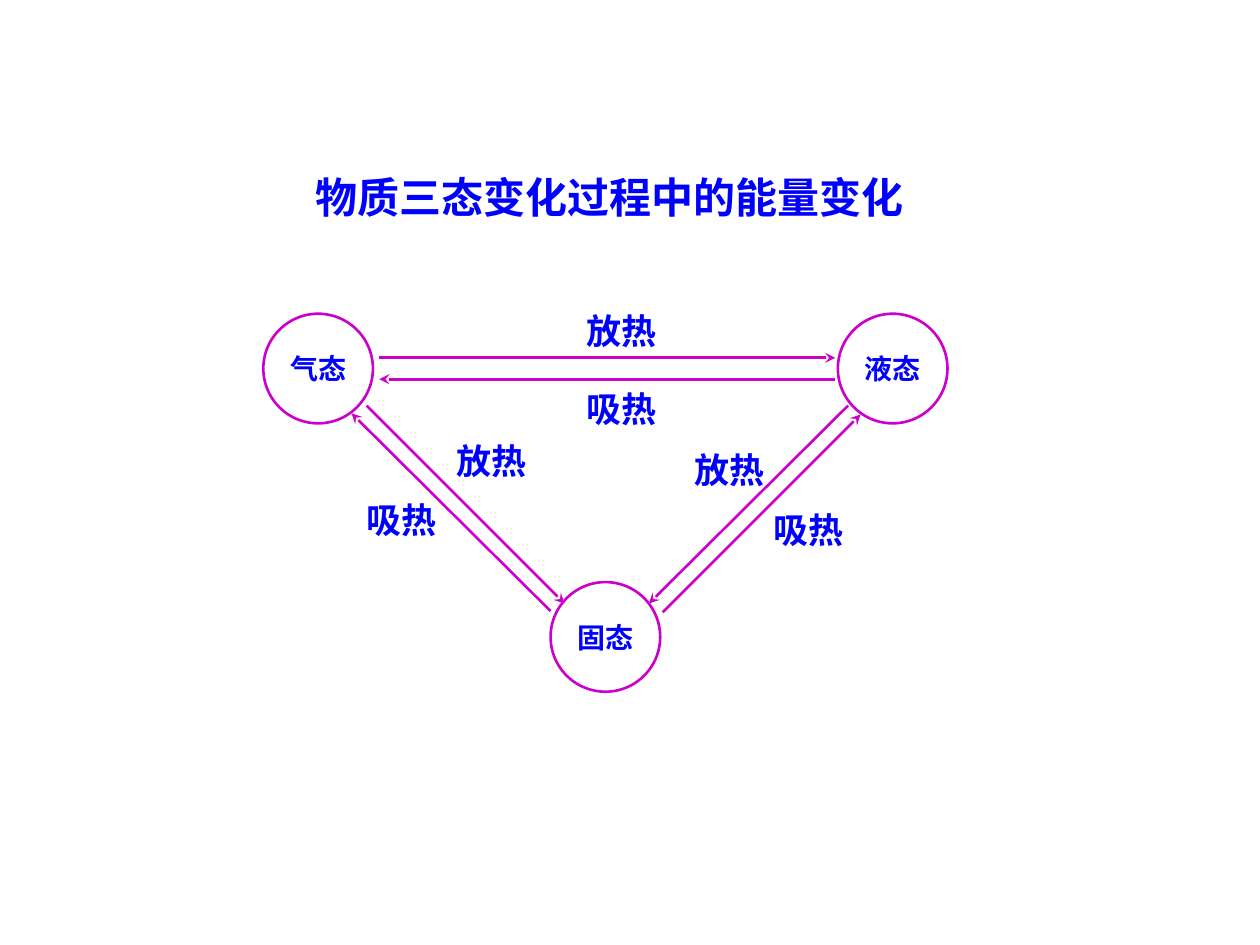
import pptx
import pptx.util
import pptx.dml.color
import pptx.enum.shapes
import pptx.enum.text
import pptx.oxml
import pptx.oxml.ns
from lxml import etree

Inches = pptx.util.Inches
BLUE = pptx.dml.color.RGBColor(0x00, 0x00, 0xFF)
MAGENTA = pptx.dml.color.RGBColor(0xCC, 0x00, 0xCC)
WHITE = pptx.dml.color.RGBColor(0xFF, 0xFF, 0xFF)

DIAMETER = 0.87
LABEL_W, LABEL_H = 1.26, 0.44

# Positions are measured from the top left corner of the diagram
STATES = [("气态", 0, 0), ("液态", 4.56, 0), ("固态", 2.28, 2.13)]

# Each change: start, end, label, label position
CHANGES = [
    ((0.82, 0.73), (2.39, 2.30), "放热", (1.18, 0.95)),   # gas to solid
    ((2.28, 2.36), (0.70, 0.79), "吸热", (0.47, 1.42)),   # solid to gas
    ((0.92, 0.35), (4.54, 0.35), "放热", (2.21, -0.08)),  # gas to liquid
    ((4.54, 0.52), (0.92, 0.52), "吸热", (2.21, 0.54)),   # liquid to gas
    ((4.64, 0.73), (3.06, 2.30), "放热", (3.07, 1.02)),   # liquid to solid
    ((3.17, 2.37), (4.74, 0.80), "吸热", (3.70, 1.50)),   # solid to liquid
]


def write_text(tf, text, size):
    tf.text = text
    p = tf.paragraphs[0]
    p.alignment = pptx.enum.text.PP_ALIGN.CENTER
    font = p.runs[0].font
    font.name = "Arial"
    font.size = pptx.util.Pt(size)
    font.bold = True
    font.color.rgb = BLUE


def add_label(slide, text, left, top, width, height, size):
    sp = slide.shapes.add_textbox(
        Inches(left), Inches(top), Inches(width), Inches(height))
    sp.text_frame.word_wrap = True
    write_text(sp.text_frame, text, size)


def add_state(slide, text, left, top):
    sp = slide.shapes.add_shape(
        pptx.enum.shapes.MSO_SHAPE.OVAL, Inches(left), Inches(top),
        Inches(DIAMETER), Inches(DIAMETER))
    sp.shadow.inherit = False
    sp.fill.background()
    sp.line.color.rgb = MAGENTA
    sp.line.width = pptx.util.Pt(1.5)
    tf = sp.text_frame
    tf.word_wrap = False
    tf.vertical_anchor = pptx.enum.text.MSO_ANCHOR.MIDDLE
    write_text(tf, text, 16)


def add_arrow(slide, x1, y1, x2, y2):
    line = slide.shapes.add_connector(
        pptx.enum.shapes.MSO_CONNECTOR.STRAIGHT,
        Inches(x1), Inches(y1), Inches(x2), Inches(y2))
    line.line.color.rgb = MAGENTA
    line.line.width = pptx.util.Pt(1.5)
    qn = pptx.oxml.ns.qn
    ln = line.line._get_or_add_ln()
    etree.SubElement(ln, qn("a:tailEnd"), type="stealth")
    etree.SubElement(ln.getparent(), qn("a:effectLst"))


def add_diagram(slide, left, top):
    # Circles for the three states
    for name, x, y in STATES:
        add_state(slide, name, left + x, top + y)
    # Arrows between the states
    for (x1, y1), (x2, y2), _, _ in CHANGES:
        add_arrow(slide, left + x1, top + y1, left + x2, top + y2)
    # Heat labels beside the arrows
    for _, _, text, (x, y) in CHANGES:
        add_label(slide, text, left + x, top + y, LABEL_W, LABEL_H, 20)


def main():
    prs = pptx.Presentation()
    prs.slide_width = Inches(10)
    prs.slide_height = Inches(7.5)
    s = prs.slides.add_slide(prs.slide_layouts[6])
    s.background.fill.solid()
    s.background.fill.fore_color.rgb = WHITE
    add_label(s, "物质三态变化过程中的能量变化", 0.9, 1.31, 7.88, 0.5, 24)
    add_diagram(s, 2.09, 2.49)
    prs.save("out.pptx")


if __name__ == "__main__":
    main()
